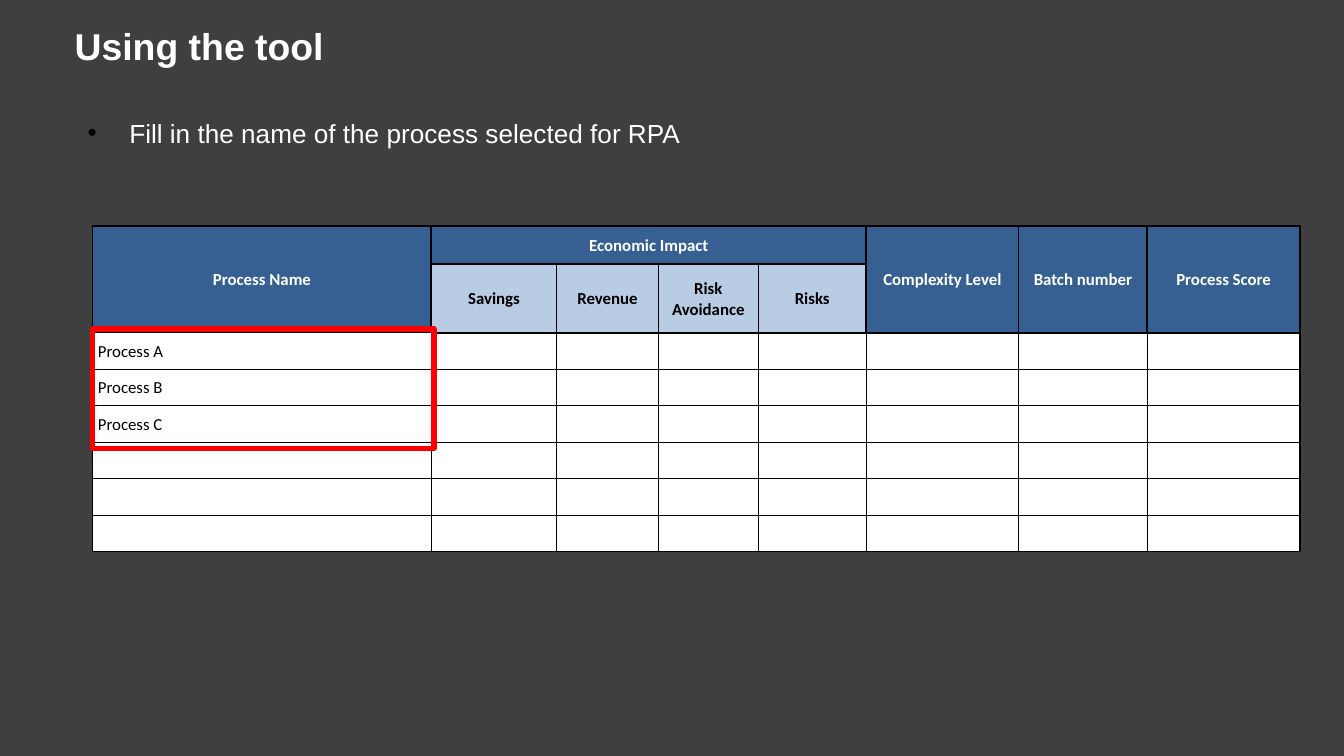
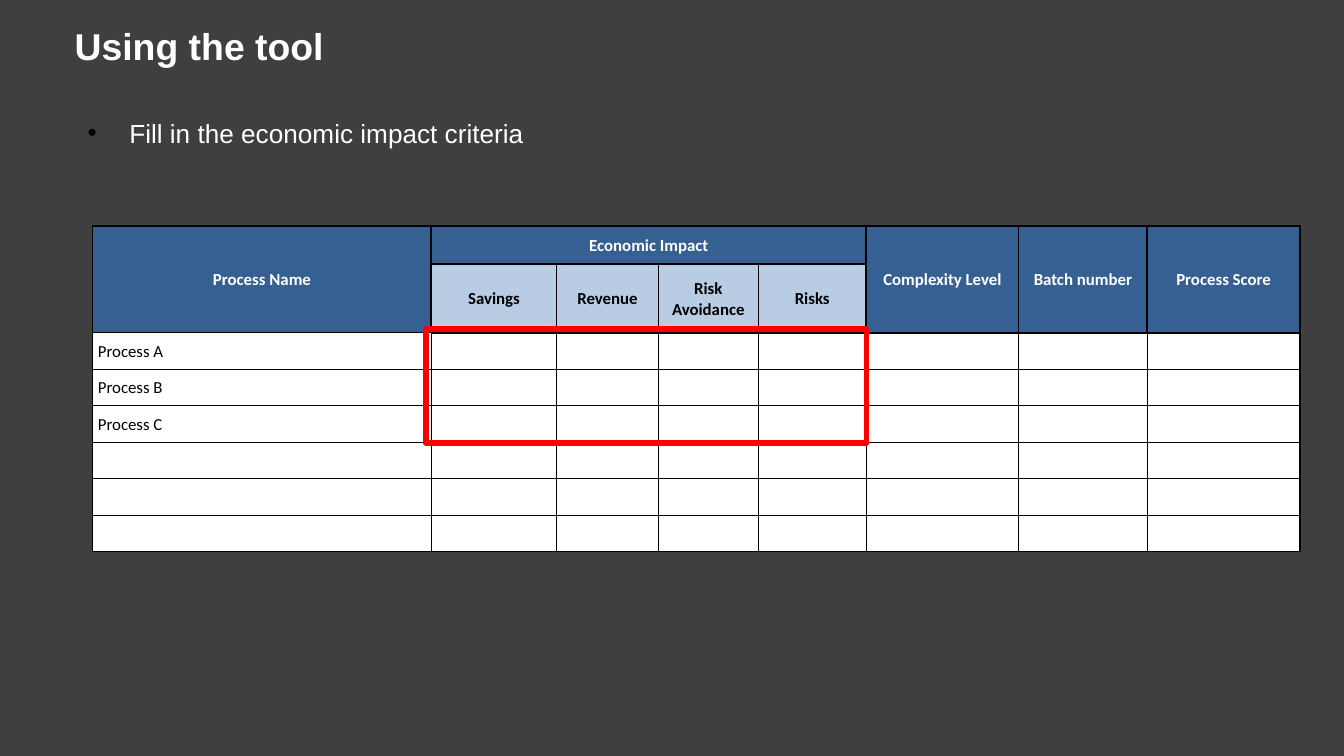
"""Build the two slides that show how to fill in the process scoring table."""
import lxml.etree
import pptx
import pptx.dml.color
import pptx.enum.shapes
import pptx.enum.text
import pptx.oxml.ns
import pptx.util

Cm = pptx.util.Cm
Pt = pptx.util.Pt
qn = pptx.oxml.ns.qn
ALIGN = pptx.enum.text.PP_ALIGN
MIDDLE = pptx.enum.text.MSO_ANCHOR.MIDDLE

COLORS = {
    "background": "3F3F3F",
    "header": "366092",
    "subheader": "B8CCE4",
    "white": "FFFFFF",
    "black": "000000",
    "highlight": "FF0000",
}
NO_STYLE = "{2D5ABB26-0587-4C30-8999-92F81FD0307C}"
COLUMN_WIDTHS = [6.4, 2.37, 1.92, 1.89, 2.04, 2.88, 2.43, 2.89]
ROW_HEIGHTS = [0.72, 1.3] + [0.69] * 6
HEADERS = ["Process Name", "Economic Impact", "", "", "",
           "Complexity Level", "Batch number", "Process Score"]
SUBHEADERS = ["", "Savings", "Revenue", "Risk Avoidance", "Risks", "", "", ""]
PROCESSES = ["Process A", "Process B", "Process C", "", "", ""]
ROWS = [HEADERS, SUBHEADERS] + [[name] + [""] * 7 for name in PROCESSES]
MERGES = [((0, 0), (1, 0)), ((0, 1), (0, 4))] + [
    ((0, column), (1, column)) for column in (5, 6, 7)]


def rgb(name):
    return pptx.dml.color.RGBColor.from_string(COLORS[name])


def add_element(parent, tag, **attributes):
    return lxml.etree.SubElement(parent, qn(tag), **attributes)


def write_text(frame, text, *, size, font="Arial", color="white", bold=False,
               align=ALIGN.LEFT, left=0, hanging=0, bullet=None, inset=None):
    frame.word_wrap = True
    frame.vertical_anchor = MIDDLE
    if inset is not None:
        frame.margin_left = frame.margin_right = inset
        frame.margin_top = frame.margin_bottom = inset
    paragraph = frame.paragraphs[0]
    properties = paragraph._p.get_or_add_pPr()
    properties.set("marL", str(Cm(left)))
    properties.set("indent", str(Cm(-hanging)))
    if bullet:
        bullet_color = add_element(properties, "a:buClr")
        add_element(bullet_color, "a:srgbClr", val=COLORS["black"])
        add_element(properties, "a:buFont", typeface=font)
        add_element(properties, "a:buChar", char=bullet)
    paragraph.alignment = align
    paragraph.space_before = Pt(0)
    if not text:
        add_element(paragraph._p, "a:endParaRPr", sz=str(size * 100))
        return
    run = paragraph.add_run()
    run.text = text
    run.font.name = font
    run.font.size = Pt(size)
    run.font.bold = bold
    run.font.color.rgb = rgb(color)


def border_widths(row, column):
    header = row < 2
    below_header = row == 2 and column > 0
    thick = {
        "a:lnL": column == 0 or header and not (row == 1 and 2 <= column <= 4),
        "a:lnR": column == 7 or header and not (row == 1 and 1 <= column <= 3),
        "a:lnT": header or below_header,
        "a:lnB": header and column > 0,
    }
    return {side: 1 if is_thick else 0.5 for side, is_thick in thick.items()}


class Deck:
    def __init__(self):
        self.presentation = pptx.Presentation()
        self.presentation.slide_width = Cm(25.4)
        self.presentation.slide_height = Cm(14.29)
        self.slide = None

    def new_slide(self):
        layout = self.presentation.slide_layouts[1]
        self.slide = self.presentation.slides.add_slide(layout)
        fill = self.slide.background.fill
        fill.solid()
        fill.fore_color.rgb = rgb("background")

    def place(self, shape, left, top, width, height):
        shape.left, shape.top = Cm(left), Cm(top)
        shape.width, shape.height = Cm(width), Cm(height)

    def title(self, text):
        shape = self.slide.shapes.title
        self.place(shape, 0.86, 0.13, 23.67, 1.47)
        write_text(shape.text_frame, text, size=20, bold=True, left=0.3,
                   inset=Cm(0.25))

    def bullet(self, text):
        shape = self.slide.placeholders[1]
        self.place(shape, 1.4, 2.08, 22.33, 0.86)
        shape.text_frame.auto_size = pptx.enum.text.MSO_AUTO_SIZE.SHAPE_TO_FIT_TEXT
        write_text(shape.text_frame, text, size=14, left=0.79, hanging=0.79,
                   bullet="•")

    def cell(self, cell, text, row, column):
        if not cell.is_spanned:
            for side, width in border_widths(row, column).items():
                line = add_element(cell._tc.get_or_add_tcPr(), side, w=str(Pt(width)))
                fill = add_element(line, "a:solidFill")
                add_element(fill, "a:srgbClr", val=COLORS["black"])
        header = row < 2
        subheader = row == 1 and 1 <= column <= 4
        cell.fill.solid()
        cell.fill.fore_color.rgb = rgb(
            "subheader" if subheader else "header" if header else "white")
        cell.vertical_anchor = MIDDLE
        cell.margin_left = cell.margin_right = cell.margin_top = Cm(0.03)
        cell.margin_bottom = 0
        if not header:
            cell.margin_left = Cm(0.1)
        write_text(cell.text_frame, text, size=9, font="Calibri", bold=header,
                   color="white" if header and not subheader else "black",
                   align=ALIGN.CENTER if header else ALIGN.LEFT)

    def process_table(self):
        frame = self.slide.shapes.add_table(
            len(ROWS), len(COLUMN_WIDTHS), Cm(1.75), Cm(4.27),
            Cm(sum(COLUMN_WIDTHS)), Cm(sum(ROW_HEIGHTS)))
        table = frame.table
        table.first_row = table.horz_banding = False
        table._tbl.tblPr[0].text = NO_STYLE
        for column, width in zip(table.columns, COLUMN_WIDTHS):
            column.width = Cm(width)
        for row, height in zip(table.rows, ROW_HEIGHTS):
            row.height = Cm(height)
        for first, last in MERGES:
            table.cell(*first).merge(table.cell(*last))
        for row, texts in enumerate(ROWS):
            for column, text in enumerate(texts):
                self.cell(table.cell(row, column), text, row, column)

    def highlight(self, left, width, height):
        shape = self.slide.shapes.add_shape(
            pptx.enum.shapes.MSO_SHAPE.RECTANGLE,
            Cm(left), Cm(6.22), Cm(width), Cm(height))
        shape.shadow.inherit = False
        shape.fill.background()
        shape.line.color.rgb = rgb("highlight")
        shape.line.width = Pt(3)


def main():
    deck = Deck()
    steps = [
        ("Fill in the name of the process selected for RPA", (1.75, 6.45, 2.26)),
        ("Fill in the economic impact criteria", (8.05, 8.33, 2.16)),
    ]
    for instruction, highlighted_area in steps:
        deck.new_slide()
        deck.title("Using the tool")
        deck.bullet(instruction)
        deck.process_table()
        deck.highlight(*highlighted_area)
    deck.presentation.save("out.pptx")


if __name__ == "__main__":
    main()
